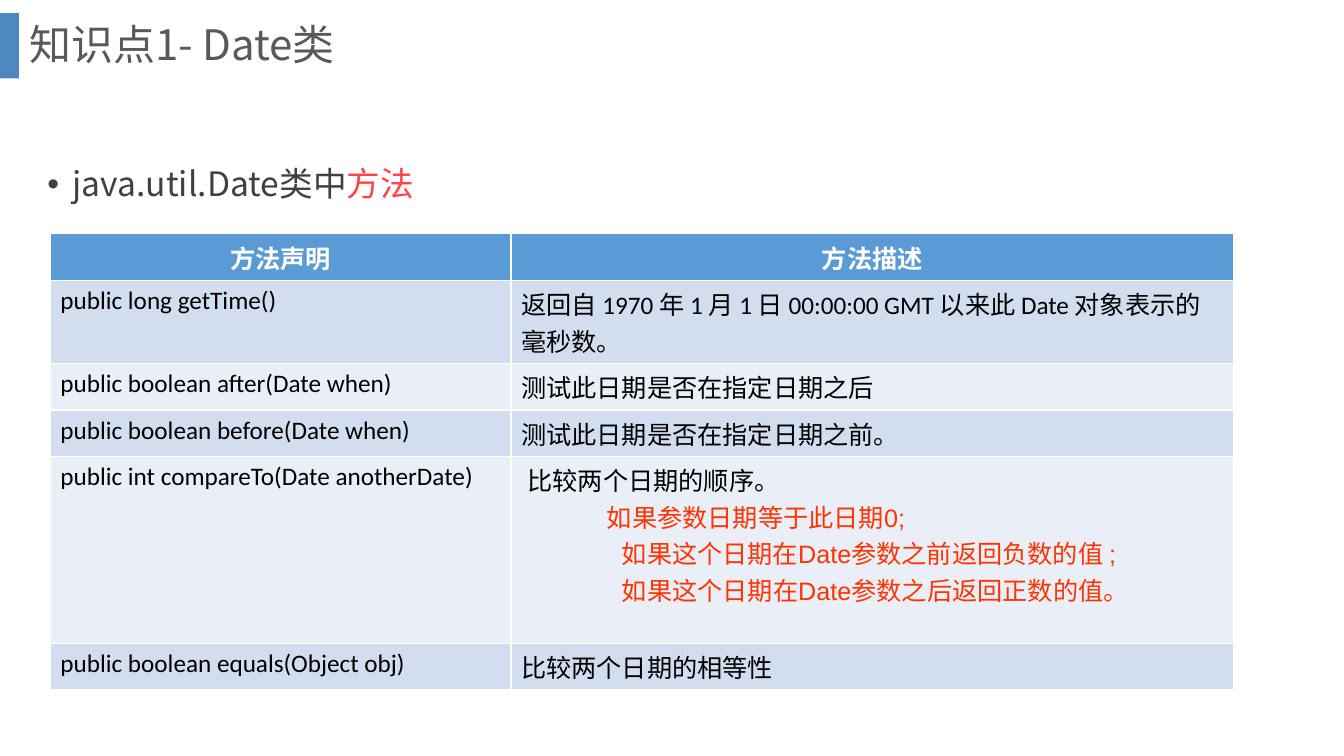
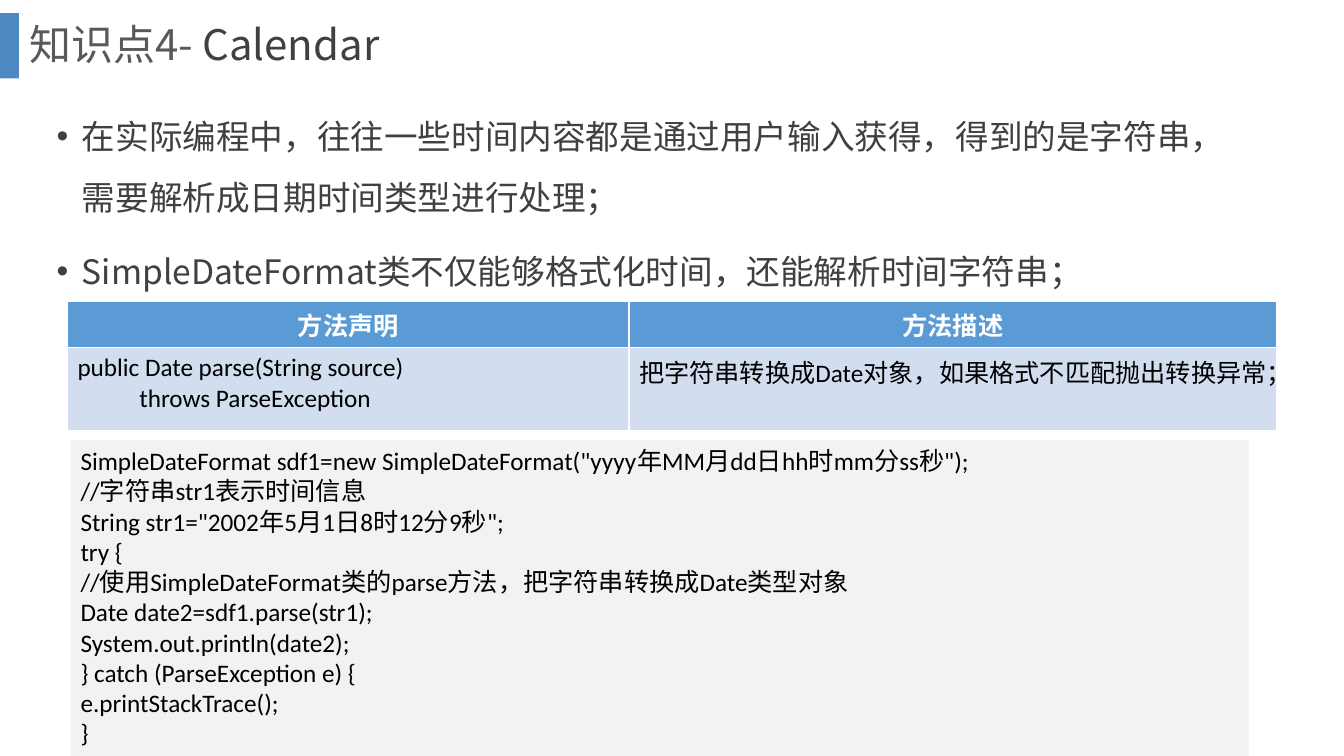
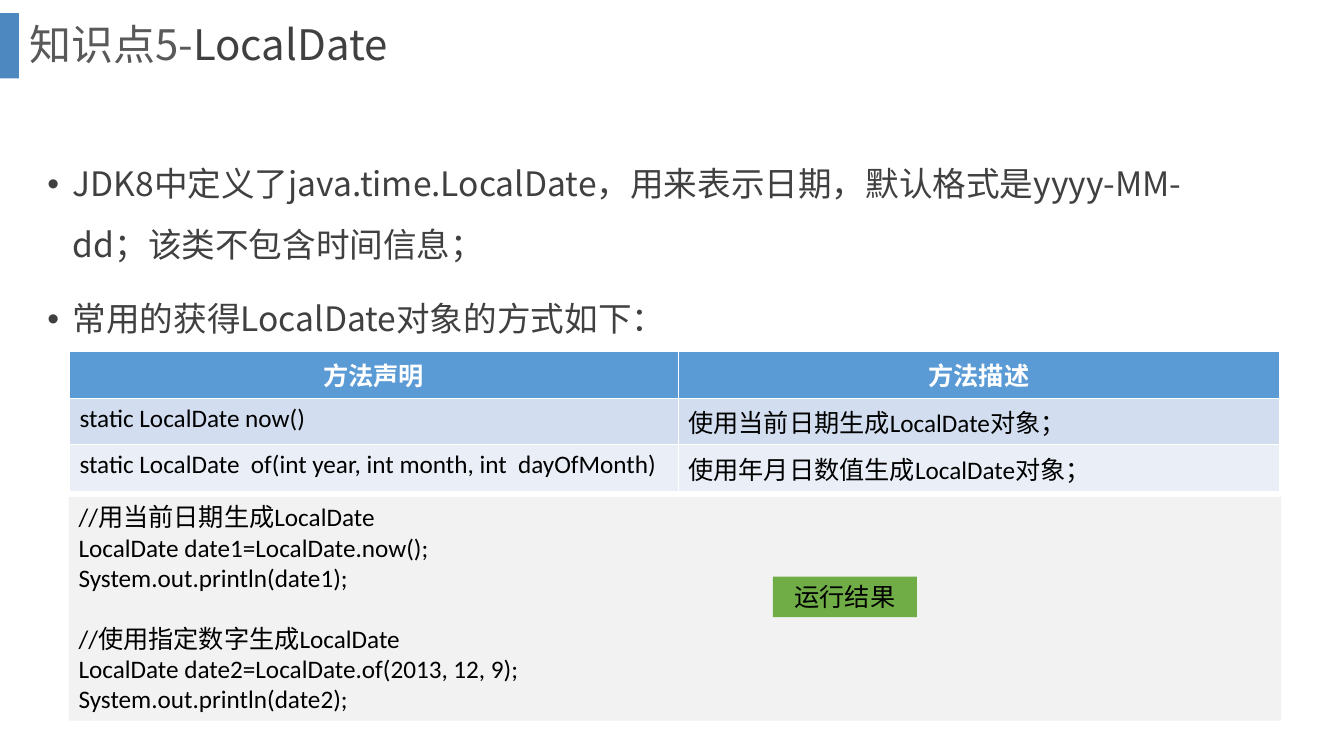
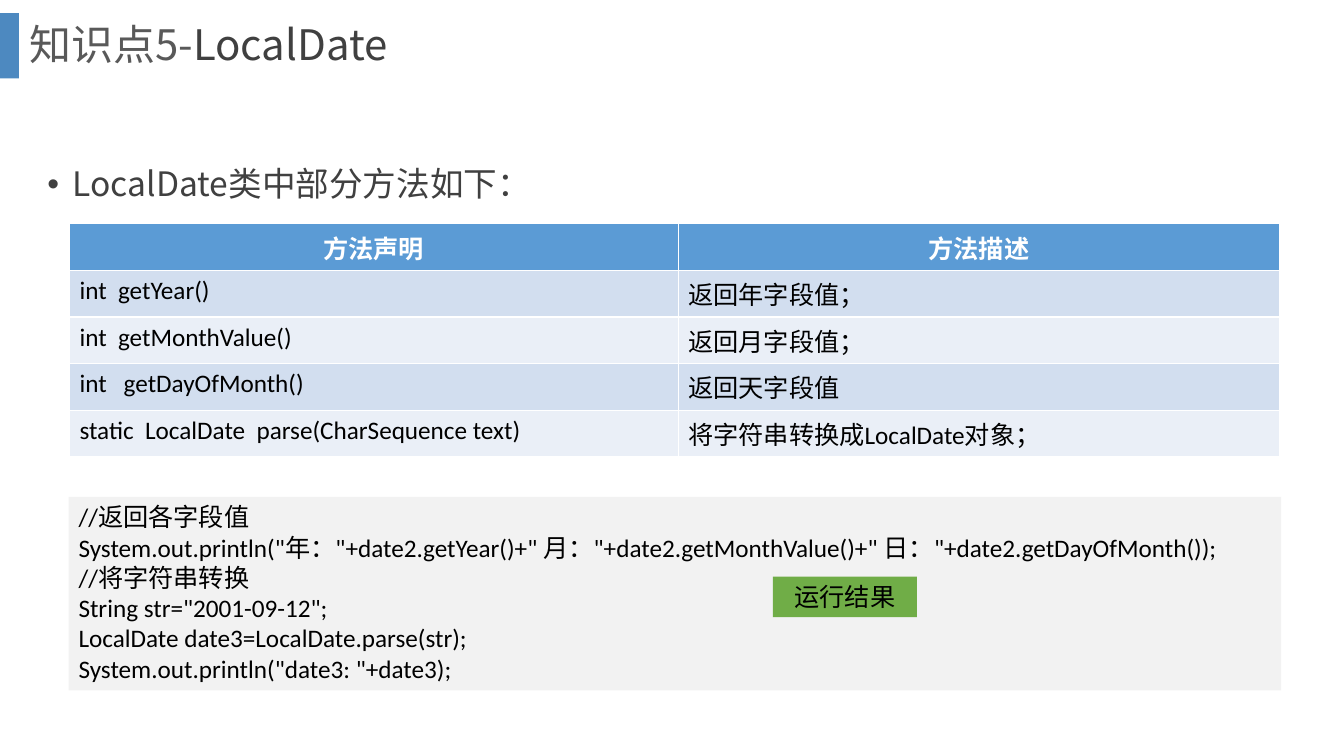
from dataclasses import dataclass, field, replace

from lxml.etree import SubElement
from pptx import Presentation
from pptx.dml.color import RGBColor as Rgb
from pptx.enum.shapes import MSO_SHAPE as Shape
from pptx.enum.text import MSO_ANCHOR as Anchor, MSO_AUTO_SIZE as Auto, PP_ALIGN as Align
from pptx.oxml.ns import qn
from pptx.util import Cm, Pt


@dataclass(frozen=True)
class Type:
    name: str
    size: int
    ink: str
    east: str = ""
    bold: bool = False


@dataclass(frozen=True)
class Theme:
    bar: str = "2E75B6"
    head: str = "5B9BD5"
    bands: tuple = ("D2DEEF", "EAEFF7")
    code: str = "F2F2F2"
    label: str = "70AD47"
    dark: str = "404040"
    red: str = "FE4444"
    alert: str = "FF3300"
    title: Type = Type("Noto Sans CJK SC", 30, "595959", "Noto Sans CJK SC")
    body: Type = Type("Noto Sans CJK SC", 24, "404040", "Noto Sans CJK SC")
    cell: Type = Type("Calibri", 18, "000000", "Noto Sans CJK SC")
    top: Type = Type("Calibri", 18, "FFFFFF", "Noto Sans CJK SC", True)
    plain: Type = Type("Calibri", 18, "000000")


T = Theme()
NOTE = replace(T.cell, name="Arial")
ALERT = replace(NOTE, ink=T.alert)
HEADS = ("方法声明", "方法描述")


@dataclass
class Line:
    """One paragraph: runs as (text, type) pairs, where None means the default type."""
    runs: list
    left: float = 0
    look: dict = field(default_factory=dict)


def line(text, kind=None, left=0, **look):
    return Line([(text, kind)], left, look)


def apply(obj, **vals):
    for key, val in vals.items():
        setattr(obj, key, val)


def box(*vals):
    return dict(zip(("left", "top", "width", "height"), map(Cm, vals)))


def paint(obj, ink):
    obj.fill.solid()
    obj.fill.fore_color.rgb = Rgb.from_string(ink)


def add_run(par, text, kind):
    run = par.add_run()
    run.text = text
    apply(run.font, name=kind.name, size=Pt(kind.size), bold=kind.bold)
    run.font.color.rgb = Rgb.from_string(kind.ink)
    if kind.east:
        SubElement(run.font._element, qn("a:ea"), typeface=kind.east)


def write(frame, lines, kind, hang=0, **look):
    """Fill a frame; look holds paragraph values, hang is the bullet indent in cm."""
    for num, item in enumerate(lines):
        item = line(item) if isinstance(item, str) else item
        par = frame.add_paragraph() if num else frame.paragraphs[0]
        apply(par, **{**look, **item.look})
        if item.left or hang:
            props = par._p.get_or_add_pPr()
            props.set("marL", str(Cm(item.left + hang)))
            props.set("indent", str(-Cm(hang)))
        for text, own in item.runs:
            add_run(par, text, own or kind)


def set_layout(deck):
    """Place the bar, title and body that all slides share."""
    layout = deck.slide_layouts[1]
    title, body = list(layout.placeholders)[:2]
    apply(title, **box(0.48, 0, 32.16, 2.36))
    apply(body, **box(0.94, 3.48, 30.61, 7.26))
    return layout


def add_bar(slide, layout):
    """Draw the bar once and move it to the layout."""
    bar = slide.shapes.add_shape(Shape.RECTANGLE, **box(0, 0.33, 0.48, 1.65))
    bar.shadow.inherit = False
    paint(bar, T.bar)
    bar.line.fill.background()
    tint = bar._element.spPr.find(qn("a:solidFill"))[0]
    SubElement(tint, qn("a:alpha"), val="85000")
    layout.shapes.element.insert(2, bar._element)


def add_page(deck, layout, title, lines, place=None):
    slide = deck.slides.add_slide(layout)
    head, body = slide.placeholders
    apply(head.text_frame, vertical_anchor=Anchor.MIDDLE, auto_size=Auto.NONE)
    write(head.text_frame, [Line(title)], T.title, alignment=Align.LEFT, line_spacing=0.9)
    if place:
        apply(body, **place)
    body.text_frame.auto_size = Auto.NONE
    write(body.text_frame, lines, T.body, hang=0.64, line_spacing=1.5, space_before=Pt(10))
    return slide


def add_grid(slide, left, top, cols, rows, tall=None):
    """Add a method table; tall maps a row number to its height in cm."""
    high = 1.04
    place = box(left, top, sum(cols), high * (len(rows) + 1))
    grid = slide.shapes.add_table(len(rows) + 1, len(cols), **place).table
    for col, wide in zip(grid.columns, cols):
        col.width = Cm(wide)
    for num, texts in enumerate([HEADS, *rows]):
        grid.rows[num].height = Cm((tall or {}).get(num, high))
        for cell, text in zip(grid.rows[num].cells, texts):
            paint(cell, T.bands[(num - 1) % 2] if num else T.head)
            lines = [text] if isinstance(text, str) else text
            write(cell.text_frame, lines, T.cell if num else T.top,
                  alignment=Align.LEFT if num else Align.CENTER)


def add_panel(slide, place, ink, lines, **look):
    panel = slide.shapes.add_textbox(**place)
    paint(panel, ink)
    apply(panel.text_frame, word_wrap=True, auto_size=Auto.NONE)
    write(panel.text_frame, lines, T.plain, **look)


def add_code(slide, place, lines):
    add_panel(slide, place, T.code, lines)


def add_label(slide):
    add_panel(slide, box(19.48, 14.53, 3.63, 1.02), T.label, ["运行结果"],
              alignment=Align.CENTER)


def add_date(deck, layout):
    slide = add_page(deck, layout, [("知识点1- Date类", None)], [
        Line([("java.util.Date类中", None), ("方法", replace(T.body, ink=T.red))])])
    order = [
        line("比较两个日期的顺序。", NOTE, 0.16),
        line("如果参数日期等于此日期0;", ALERT, 2.16),
        line("如果这个日期在Date参数之前返回负数的值 ; ", ALERT, alignment=Align.CENTER),
        line(" 如果这个日期在Date参数之后返回正数的值。", ALERT, alignment=Align.CENTER),
    ]
    add_grid(slide, 1.27, 5.89, (11.61, 18.21), [
        ("public long getTime()",
         "返回自 1970 年 1 月 1 日 00:00:00 GMT 以来此 Date 对象表示的毫秒数。"),
        ("public boolean after(Date when)", "测试此日期是否在指定日期之后"),
        ("public boolean before(Date when)", "测试此日期是否在指定日期之前。"),
        ("public int compareTo(Date anotherDate)", order),
        ("public boolean equals(Object obj)", "比较两个日期的相等性"),
    ], tall={4: 4.7})
    add_bar(slide, layout)


def add_calendar(deck, layout):
    title = [("知识点4- ", None), ("Calendar", replace(T.title, ink=T.dark))]
    slide = add_page(deck, layout, title, [
        "在实际编程中，往往一些时间内容都是通过用户输入获得，得到的是字符串，需要解析成日期时间类型进行处理；",
        "SimpleDateFormat类不仅能够格式化时间，还能解析时间字符串；",
    ], box(1.17, 2.29, 30.61, 5.51))
    add_grid(slide, 1.7, 7.59, (14.15, 16.33), [
        (["public Date parse(String source)", line("throws ParseException", left=1.56)],
         "把字符串转换成Date对象，如果格式不匹配抛出转换异常；"),
    ])
    add_code(slide, box(1.78, 11.1, 29.69, 7.95), [
        'SimpleDateFormat sdf1=new SimpleDateFormat("yyyy年MM月dd日hh时mm分ss秒");',
        "//字符串str1表示时间信息",
        'String str1="2002年5月1日8时12分9秒";',
        "try {",
        "//使用SimpleDateFormat类的parse方法，把字符串转换成Date类型对象",
        "Date date2=sdf1.parse(str1);",
        "System.out.println(date2);",
        "} catch (ParseException e) {",
        "e.printStackTrace();",
        "}",
    ])


def add_local(deck, layout, lines, top, rows, high, code, place=None):
    """Add a LocalDate slide: list, table, code and result label."""
    title = [("知识点5-", None), ("LocalDate", replace(T.title, ink=T.dark))]
    slide = add_page(deck, layout, title, lines, place)
    add_grid(slide, 1.75, top, (15.34, 15.16), rows)
    add_code(slide, box(1.73, 12.52, 30.56, high), code)
    add_label(slide)


def main():
    deck = Presentation()
    apply(deck, slide_width=Cm(33.87), slide_height=Cm(19.05))
    layout = set_layout(deck)
    add_date(deck, layout)
    add_calendar(deck, layout)
    add_local(deck, layout, [
        "JDK8中定义了java.time.LocalDate，用来表示日期，默认格式是yyyy-MM-dd；该类不包含时间信息；",
        "常用的获得LocalDate对象的方式如下：",
    ], 8.86, [
        ("static LocalDate now()", "使用当前日期生成LocalDate对象；"),
        ("static LocalDate  of(int year, int month, int  dayOfMonth)",
         "使用年月日数值生成LocalDate对象；"),
    ], 5.64, [
        "//用当前日期生成LocalDate",
        "LocalDate date1=LocalDate.now();",
        "System.out.println(date1);",
        line("//使用指定数字生成LocalDate", space_before=Pt(22)),
        "LocalDate date2=LocalDate.of(2013, 12, 9);",
        "System.out.println(date2);",
    ])
    add_local(deck, layout, ["LocalDate类中部分方法如下："], 5.64, [
        ("int  getYear()", "返回年字段值；"),
        ("int  getMonthValue()", "返回月字段值；"),
        ("int   getDayOfMonth()", "返回天字段值"),
        ("static  LocalDate  parse(CharSequence text)", "将字符串转换成LocalDate对象；"),
    ], 4.88, [
        "//返回各字段值",
        'System.out.println("年："+date2.getYear()+" 月："+date2.getMonthValue()'
        '+" 日："+date2.getDayOfMonth());',
        "//将字符串转换",
        'String str="2001-09-12";',
        "LocalDate date3=LocalDate.parse(str);",
        'System.out.println("date3: "+date3);',
    ], box(0.94, 3.48, 30.61, 2.18))
    deck.save("out.pptx")


if __name__ == "__main__":
    main()
